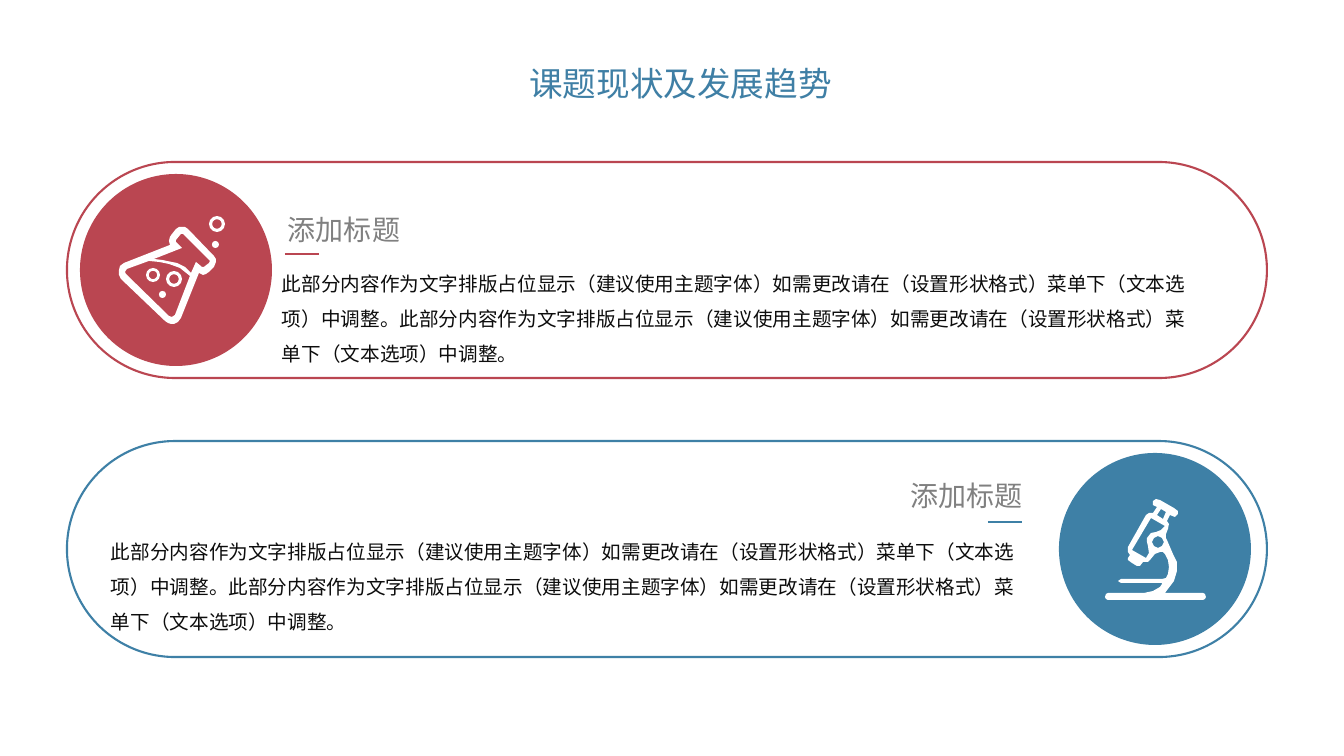
from lxml.etree import SubElement as add_element
from pptx import Presentation
from pptx.dml.color import RGBColor as Color
from pptx.enum.shapes import MSO_CONNECTOR as Connector, MSO_SHAPE as Shape
from pptx.enum.text import MSO_ANCHOR as Anchor, MSO_AUTO_SIZE as AutoSize, PP_ALIGN as Align
from pptx.oxml.ns import qn
from pptx.util import Pt

PX = 914400 / 100.8
FONT = "Noto Sans CJK SC"
COLORS = {"title": "3F7FA5", "red": "BA4651", "blue": "3E80A6",
          "heading": "808080", "body": "0D0D0D", "icon": "FFFFFF"}
SENTENCE = "此部分内容作为文字排版占位显示（建议使用主题字体）如需更改请在（设置形状格式）菜单下（文本选项）中调整。"

# Icon contours in px from the corner of the disc; inner contours are holes
FLASK = [
    [(108, 55), (105, 53), (102, 53), (99, 53), (96, 55), (92, 60), (90, 63), (89, 67),
     (90, 71), (44, 89), (40, 92), (39, 96), (39, 101), (41, 105), (85, 147), (88, 149),
     (91, 150), (94, 150), (98, 148), (101, 144), (119, 99), (123, 101), (126, 100),
     (129, 98), (134, 93), (136, 88), (136, 85), (134, 82)],
    [(129, 89), (124, 93), (122, 93), (116, 88), (111, 99), (105, 93), (97, 89), (82, 86),
     (74, 85), (102, 74), (96, 68), (96, 66), (101, 60), (103, 60), (129, 86), (130, 87)],
    [(95, 141), (92, 143), (89, 142), (46, 100), (45, 98), (47, 95), (69, 87), (79, 88),
     (89, 90), (100, 94), (110, 102)],
]
FLASK_BUBBLES = [(86, 97, 16), (129, 42, 16), (66, 94, 14)]
FLASK_DOTS = [(79, 117, 7), (132, 67, 7)]
MICROSCOPE = [
    [(103, 130), (62, 130), (59, 128), (62, 126), (103, 126), (107, 125), (109, 121),
     (110, 114), (109, 107), (106, 101), (104, 99), (101, 99), (96, 101), (91, 107),
     (89, 109), (84, 109), (81, 113), (78, 113), (73, 110), (69, 107), (69, 105),
     (71, 102), (69, 99), (69, 94), (87, 62), (90, 60), (94, 60), (98, 54), (94, 52),
     (94, 48), (97, 46), (101, 47), (115, 55), (119, 58), (119, 61), (116, 64),
     (111, 62), (108, 68), (110, 71), (109, 76), (107, 81), (107, 85), (108, 87),
     (114, 101), (118, 109), (118, 118), (115, 128), (109, 136), (106, 140),
     (144, 140), (146, 141), (147, 144), (146, 146), (144, 147), (49, 147), (47, 146),
     (46, 144), (47, 141), (49, 140), (85, 140), (94, 138), (101, 134), (103, 131)],
    [(92, 65), (73, 97), (87, 105), (90, 100), (89, 93), (88, 89), (88, 85), (92, 80),
     (97, 79), (102, 77), (106, 73)],
    [(105, 89), (103, 93), (99, 95), (95, 93), (93, 89), (95, 85), (99, 83), (103, 85)],
    [(104, 66), (107, 59), (102, 56), (98, 62)],
]


def px(*lengths):
    return [round(length * PX) for length in lengths]


def paint(shape, fill=None, line=None):
    shape.shadow.inherit = False
    if fill:
        shape.fill.solid()
        shape.fill.fore_color.rgb = Color.from_string(COLORS[fill])
    else:
        shape.fill.background()
    if line:
        shape.line.color.rgb = Color.from_string(COLORS[line])
        shape.line.width = Pt(1.5)
    else:
        shape.line.fill.background()


def write(frame, text, size, color, align, spacing=None):
    frame.word_wrap = True
    para = frame.paragraphs[0]
    para.text = text
    para.alignment = align
    para.line_spacing = spacing
    font = para.font
    font.size, font.name = Pt(size), FONT
    font.color.rgb = Color.from_string(COLORS[color])
    # East Asian typeface
    defaults = para._p.pPr.find(qn("a:defRPr"))
    add_element(defaults, qn("a:ea"), typeface=FONT)


def add_title(slide, box):
    title = slide.shapes.title
    title.left, title.top, title.width, title.height = px(*box)
    write(title.text_frame, "课题现状及发展趋势", 24, "title", Align.CENTER)
    title.text_frame.vertical_anchor = Anchor.MIDDLE
    title.text_frame.auto_size = AutoSize.NONE


def add_outline(slide, left, top, contours):
    first, *rest = contours
    shift = lambda points: [(left + x, top + y) for x, y in points]
    start, *points = shift(first)
    builder = slide.shapes.build_freeform(*start, scale=PX)
    builder.add_line_segments(points, close=True)
    for contour in rest:
        start, *points = shift(contour)
        builder.move_to(*start)
        builder.add_line_segments(points, close=True)
    paint(builder.convert_to_shape(), fill="icon")


def add_flask(slide, left, top):
    add_outline(slide, left, top, FLASK)
    for kind, circles in ((Shape.DONUT, FLASK_BUBBLES), (Shape.OVAL, FLASK_DOTS)):
        for x, y, size in circles:
            circle = slide.shapes.add_shape(kind, *px(left + x, top + y, size, size))
            if kind == Shape.DONUT:
                circle.adjustments[0] = 0.2
            paint(circle, fill="icon")


def add_microscope(slide, left, top):
    add_outline(slide, left, top, MICROSCOPE)


def add_panel(slide, box, color, icon, disc_x, heading, rule, body_x, align):
    left, top, width, height = box
    shapes = slide.shapes

    # Capsule and disc
    capsule = shapes.add_shape(Shape.ROUNDED_RECTANGLE, *px(*box))
    capsule.adjustments[0] = 0.5
    paint(capsule, line=color)
    disc_left, disc_top = left + disc_x, top + 12
    paint(shapes.add_shape(Shape.OVAL, *px(disc_left, disc_top, 192, 192)), fill=color)

    # Body text, just under the rule
    rule_x, rule_y = left + rule[0], top + rule[1]
    body = shapes.add_textbox(*px(left + body_x, rule_y + 1, 942, 117))
    write(body.text_frame, SENTENCE * 2, 14, "body", Align.LEFT, 1.5)

    # Heading and its rule
    heading_x, heading_y, heading_width = heading
    label = shapes.add_textbox(*px(left + heading_x, top + heading_y, heading_width, 44))
    write(label.text_frame, "添加标题", 20, "heading", align)
    line = shapes.add_connector(Connector.STRAIGHT, *px(rule_x, rule_y, rule_x + 34, rule_y))
    line.line.color.rgb = Color.from_string(COLORS[color])
    line.line.width = Pt(1.5)
    add_element(line._element.spPr, qn("a:effectLst"))

    icon(slide, disc_left, disc_top)


def main():
    deck = Presentation()
    deck.slide_width, deck.slide_height = px(1344, 756)
    slide = deck.slides.add_slide(deck.slide_layouts[5])
    add_title(slide, (40, 53, 1281, 60))
    add_panel(slide, (67, 162, 1200, 216), "red", add_flask, disc_x=13,
              heading=(211, 46, 136), rule=(218, 92), body_x=205, align=Align.LEFT)
    add_panel(slide, (67, 441, 1200, 216), "blue", add_microscope, disc_x=992,
              heading=(786, 33, 180), rule=(921, 81), body_x=34, align=Align.RIGHT)
    deck.save("out.pptx")


if __name__ == "__main__":
    main()
